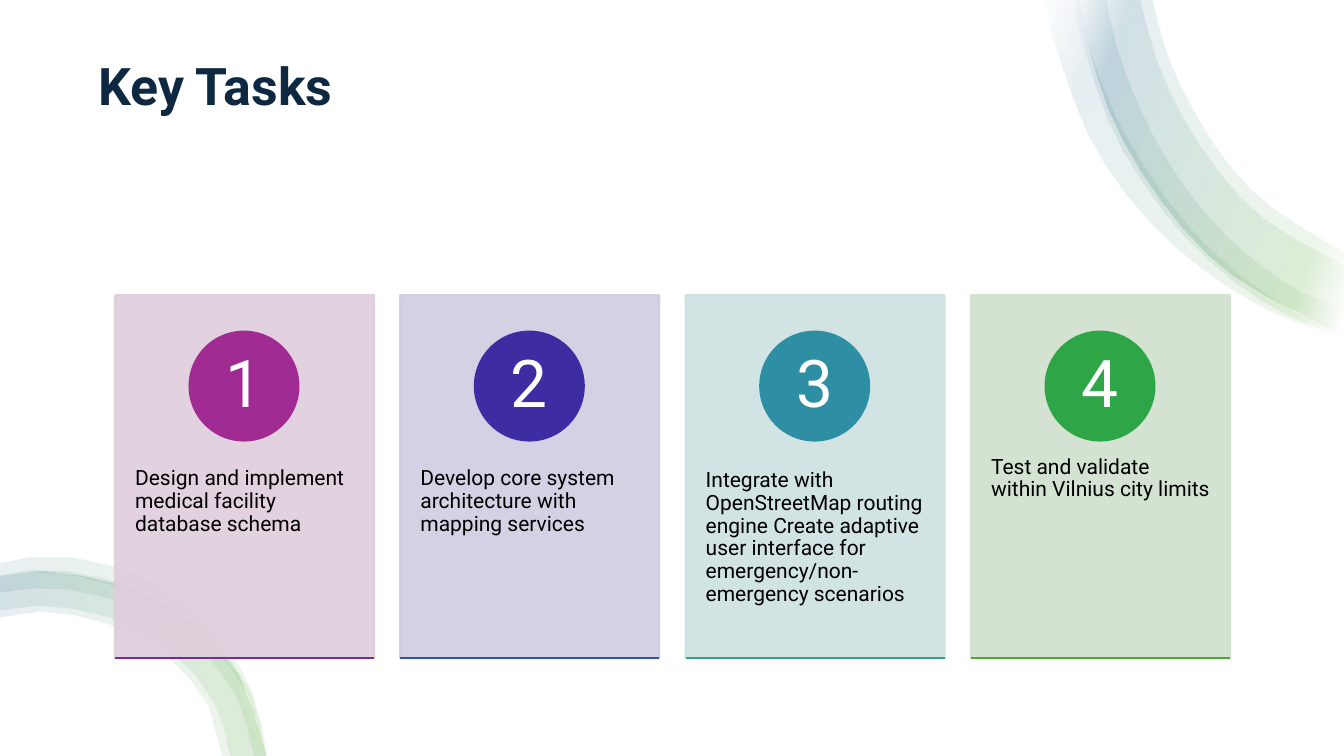
from dataclasses import dataclass
from math import dist

from lxml.etree import SubElement
from pptx import Presentation
from pptx.dml.color import RGBColor
from pptx.enum.shapes import MSO_CONNECTOR as CONN, MSO_SHAPE as SHAPE
from pptx.enum.text import MSO_ANCHOR as ANCHOR, PP_ALIGN as ALIGN
from pptx.oxml.ns import qn
from pptx.util import Emu, Pt

PX = 9144  # EMU per px, 100 px to the inch
FONT = "Roboto"
Point = tuple[float, float]
COLORS = {
    "white": "FFFFFF", "black": "000000", "title": "0E2841",
    "green": "4EA72E", "blue": "156082",
}
RIBBON_STOPS = [(2, "white"), (16, "green"), (85, "blue"), (100, "white")]


@dataclass
class Ribbon:
    angle: int  # counter-clockwise degrees
    outer: list[Point]
    inner: list[Point]


@dataclass
class Card:
    text: str
    back: str
    circle: str
    rule: str


# Edges shared by two ribbons of each corner
TOP_EDGE = [(1333, 332), (1223, 274), (1152, 200), (1099, 107), (1067, -9)]
BOTTOM_EDGE = [(263, 750), (236, 669), (185, 616), (117, 580), (40, 567), (0, 572)]

RIBBONS = [
    # Top right corner
    Ribbon(160,
           [(1333, 335), (1282, 319), (1221, 287), (1165, 245), (1116, 192),
            (1078, 131), (1041, 26), (1036, -9)],
           [(1068, -9), (1082, 52), (1106, 115), (1140, 173), (1181, 227),
            (1230, 273), (1286, 310), (1333, 328)]),
    Ribbon(160, TOP_EDGE,
           [(1141, -9), (1158, 55), (1185, 112), (1219, 164), (1261, 206),
            (1333, 251)]),
    Ribbon(160,
           [(1333, 333), (1279, 314), (1223, 279), (1173, 233), (1132, 179),
            (1099, 119), (1068, 20), (1063, -9)],
           [(1096, -9), (1107, 44), (1129, 104), (1158, 160), (1195, 211),
            (1239, 255), (1290, 290), (1333, 308)]),
    Ribbon(160, TOP_EDGE,
           [(1129, -9), (1147, 59), (1174, 118), (1210, 172), (1253, 217),
            (1333, 264)]),
    # Bottom left corner
    Ribbon(200, BOTTOM_EDGE,
           [(0, 613), (40, 607), (107, 619), (166, 652), (206, 700), (220, 750)]),
    Ribbon(200, BOTTOM_EDGE,
           [(0, 606), (40, 601), (109, 613), (170, 647), (212, 697), (228, 750)]),
    Ribbon(200,
           [(263, 750), (247, 685), (203, 627), (142, 587), (69, 567),
            (31, 566), (0, 571)],
           [(0, 588), (33, 584), (67, 585), (134, 603), (192, 639),
            (234, 691), (251, 750)]),
    Ribbon(200,
           [(264, 750), (250, 687), (210, 623), (148, 575), (71, 553),
            (31, 553), (0, 559)],
           [(0, 572), (32, 568), (69, 570), (139, 591), (200, 631),
            (245, 689), (262, 750)]),
]

CARDS = [
    Card("Design and implement medical facility database schema",
         "DFCDDC", "A02B93", "752BA1"),
    Card("Develop core system architecture with mapping services",
         "CFCDE0", "3D2CA2", "2C54A3"),
    Card("Integrate with OpenStreetMap routing engine Create adaptive user "
         "interface for emergency/non-emergency scenarios",
         "CDE1E0", "2D8EA4", "2DA581"),
    Card("Test and validate within Vilnius city limits",
         "D0E1CD", "2EA648", "4EA72E"),
]
CARD_X, CARD_Y, CARD_W, CARD_H, CARD_PITCH = 114, 293, 257, 360, 283
CIRCLE = 108


def px(*values: float) -> list[Emu]:
    return [Emu(round(v * PX)) for v in values]


def smooth(knots: list[Point], spacing: int = 36) -> list[Point]:
    """Points of a smooth curve through the knots, about one per spacing."""
    last = len(knots) - 1
    tangents = []
    for i, knot in enumerate(knots):
        a, b = knots[max(i - 1, 0)], knots[min(i + 1, last)]
        length = dist(a, knot) + dist(knot, b)
        tangents.append([(q - p) / length for p, q in zip(a, b)])
    points = [knots[0]]
    for i in range(last):
        a, b = knots[i], knots[i + 1]
        chord = dist(a, b)
        steps = max(1, round(chord / spacing))
        for t in (n / steps for n in range(1, steps + 1)):
            points.append(tuple(
                (2 * t**3 - 3 * t**2 + 1) * a[k]
                + (3 * t**2 - 2 * t**3) * b[k]
                + chord * (t**3 - 2 * t**2 + t) * tangents[i][k]
                + chord * (t**3 - t**2) * tangents[i + 1][k]
                for k in (0, 1)))
    return points


def set_alpha(color_el, percent: int) -> None:
    SubElement(color_el, qn("a:alpha")).set("val", str(percent * 1000))


def draw_ribbon(s, ribbon: Ribbon) -> None:
    points = [px(*p) for p in smooth(ribbon.outer) + smooth(ribbon.inner)]
    builder = s.shapes.build_freeform(*points[0], scale=1.0)
    builder.add_line_segments(points[1:], close=True)
    sp = builder.convert_to_shape()
    sp.shadow.inherit = False
    sp.line.fill.background()
    sp.fill.gradient()
    sp.fill.gradient_angle = ribbon.angle
    stops = next(sp.element.iter(qn("a:gsLst")))
    stops.clear()
    for position, name in RIBBON_STOPS:
        stop = SubElement(stops, qn("a:gs"))
        stop.set("pos", str(position * 1000))
        color_el = SubElement(stop, qn("a:srgbClr"))
        color_el.set("val", COLORS[name])
        set_alpha(color_el, 10)


def add_block(s, kind: SHAPE, box: tuple[int, ...], color: str):
    sp = s.shapes.add_shape(kind, *px(*box))
    sp.shadow.inherit = False
    sp.fill.solid()
    sp.fill.fore_color.rgb = sp.line.color.rgb = RGBColor.from_string(color)
    sp.line.width = Pt(1.5)
    return sp


def set_text(sp, text: str, size: int, color: str, align: ALIGN,
             anchor: ANCHOR, margins: tuple[int, int], bold: bool = False) -> None:
    tf = sp.text_frame
    tf.text = text
    tf.word_wrap = True
    tf.vertical_anchor = anchor
    tf.margin_left, tf.margin_top = tf.margin_right, tf.margin_bottom = px(*margins)
    p = tf.paragraphs[0]
    p.alignment = align
    p.line_spacing = 0.9
    font = p.runs[0].font
    font.name, font.size, font.bold = FONT, Pt(size), bold
    font.color.rgb = RGBColor.from_string(COLORS[color])


def draw_card(s, index: int, card: Card) -> None:
    x, bottom = CARD_X + index * CARD_PITCH, CARD_Y + CARD_H
    back = add_block(s, SHAPE.RECTANGLE, (x, CARD_Y, CARD_W, CARD_H), card.back)
    for color_el in back.element.spPr.iter(qn("a:srgbClr")):
        set_alpha(color_el, 90)

    label = s.shapes.add_textbox(*px(x, 430, CARD_W, 216))
    set_text(label, card.text, 15, "black", ALIGN.LEFT, ANCHOR.TOP, (20, 36))

    circle = add_block(s, SHAPE.OVAL, (x + (CARD_W - CIRCLE) // 2, 329, CIRCLE, CIRCLE),
                       card.circle)
    set_text(circle, str(index + 1), 47, "white", ALIGN.CENTER, ANCHOR.MIDDLE, (0, 0))

    rule = s.shapes.add_connector(CONN.STRAIGHT, *px(x, bottom, x + CARD_W, bottom))
    rule.line.color.rgb = RGBColor.from_string(card.rule)
    rule.line.width = Pt(1.5)
    SubElement(rule.element.spPr, qn("a:effectLst"))


def main() -> None:
    prs = Presentation()
    prs.slide_width, prs.slide_height = px(1333, 750)
    s = prs.slides.add_slide(prs.slide_layouts[5])
    s.background.fill.solid()
    s.background.fill.fore_color.rgb = RGBColor.from_string(COLORS["white"])

    # Title
    title = s.shapes.title
    title.left, title.top, title.width, title.height = px(88, 50, 1157, 130)
    set_text(title, "Key Tasks", 37, "title", ALIGN.LEFT, ANCHOR.TOP, (10, 10), bold=True)

    # Corner ribbons
    for ribbon in RIBBONS:
        draw_ribbon(s, ribbon)

    # Numbered cards
    for index, card in enumerate(CARDS):
        draw_card(s, index, card)

    prs.save("out.pptx")


if __name__ == "__main__":
    main()
